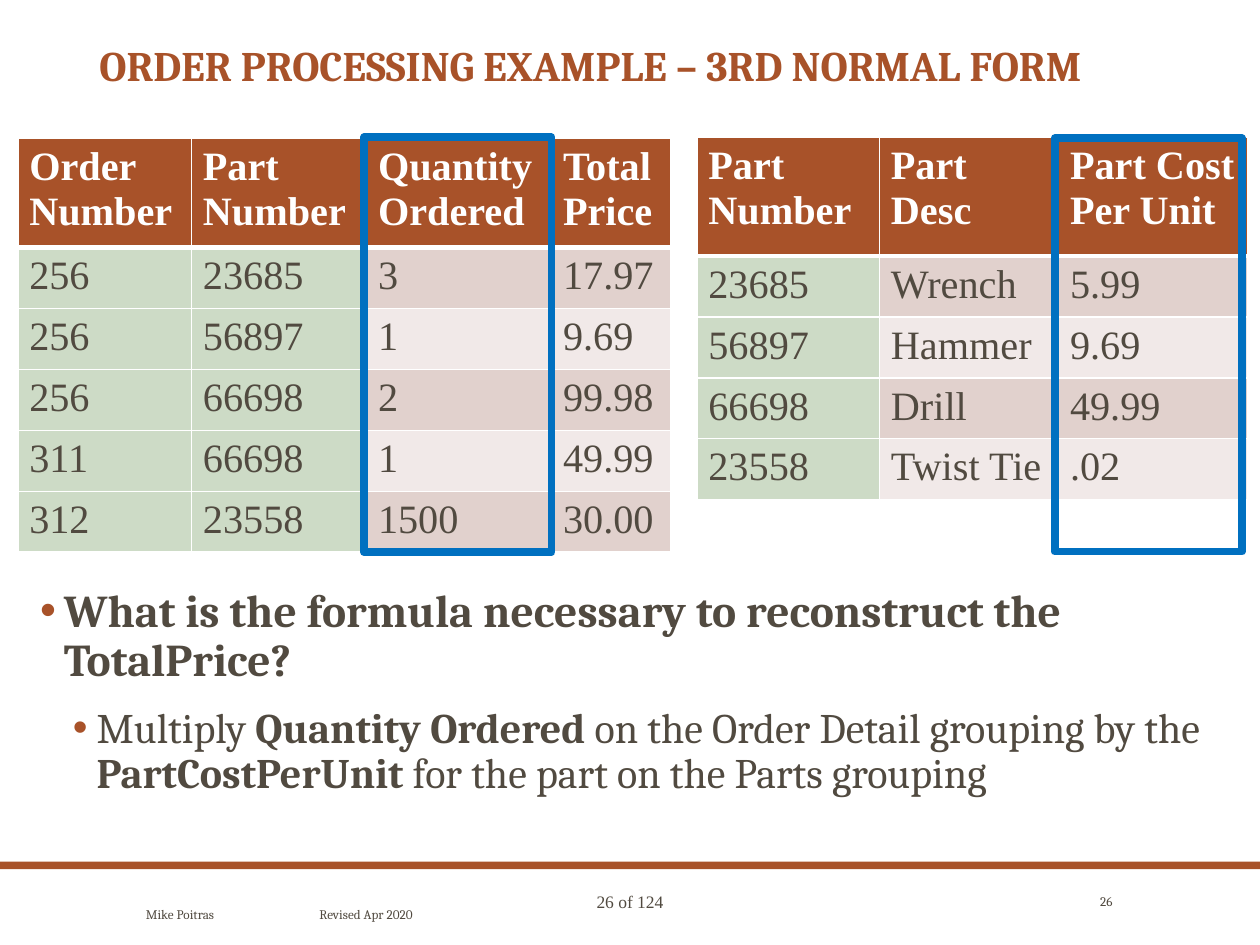
from pptx import Presentation
from pptx.dml.color import RGBColor
from pptx.enum.shapes import MSO_SHAPE
from pptx.enum.text import MSO_ANCHOR, MSO_AUTO_SIZE, PP_ALIGN
from pptx.oxml import parse_xml
from pptx.oxml.ns import nsdecls
from pptx.util import Cm, Pt

RUST = RGBColor(0xA8, 0x52, 0x29)
BROWN = RGBColor(0x51, 0x4A, 0x40)
WHITE = RGBColor(0xFF, 0xFF, 0xFF)
GREEN = RGBColor(0xCD, 0xDB, 0xC6)
DARK_PINK = RGBColor(0xE1, 0xD1, 0xCD)
LIGHT_PINK = RGBColor(0xF1, 0xE9, 0xE8)
BLUE = RGBColor(0x00, 0x70, 0xC0)
SERIF, TIMES = "Cambria", "Times New Roman"


def set_font(paragraph, name, size, color, bold=None):
    font = paragraph.font
    font.name, font.size, font.bold = name, Pt(size), bold
    font.color.rgb = color


def add_text_box(left, top, width, height, anchor=MSO_ANCHOR.TOP):
    text_frame = slide.shapes.add_textbox(Cm(left), Cm(top), Cm(width), Cm(height)).text_frame
    text_frame.word_wrap = True
    text_frame.vertical_anchor = anchor
    return text_frame


presentation = Presentation()
presentation.slide_width, presentation.slide_height = Cm(25.4), Cm(19.05)
slide = presentation.slides.add_slide(presentation.slide_layouts[5])

# Footer bar
bar = slide.shapes.add_shape(MSO_SHAPE.RECTANGLE, 0, Cm(17.37), Cm(25.4), Cm(0.15))
bar.shadow.inherit = False
bar.fill.solid()
bar.fill.fore_color.rgb = RUST
bar.line.fill.background()

# Title
title = slide.shapes.title
title.left, title.top, title.width, title.height = Cm(1.75), Cm(0.79), Cm(21.9), Cm(1.4)
title.text_frame.text = "ORDER PROCESSING EXAMPLE – 3RD NORMAL FORM"
title.text_frame.auto_size = MSO_AUTO_SIZE.NONE
title.text_frame.vertical_anchor = MSO_ANCHOR.TOP
paragraph = title.text_frame.paragraphs[0]
paragraph.alignment = PP_ALIGN.LEFT
paragraph.line_spacing = 0.9
set_font(paragraph, SERIF, 24, RUST, True)

# Question and answer: indent in cm, size, space after, (text, bold) runs
bullets = [
    (0.58, 26, 12, [("What is the formula necessary to reconstruct the TotalPrice?", True)]),
    (1.24, 24, 6, [("Multiply ", False), ("Quantity Ordered", True),
                   (" on the Order Detail grouping by the ", False),
                   ("PartCostPerUnit", True),
                   (" for the part on the Parts grouping", False)]),
]
body = add_text_box(0.46, 11.73, 24.48, 6.73)
for level, (indent, size, space_after, runs) in enumerate(bullets):
    paragraph = body.paragraphs[0] if level == 0 else body.add_paragraph()
    paragraph.level = level
    paragraph.line_spacing = 0.9
    paragraph.space_after = Pt(space_after)
    properties = paragraph._p.get_or_add_pPr()
    properties.set("marL", str(Cm(indent)))
    properties.set("indent", str(Cm(-0.48)))
    for xml in (f'<a:buClr {nsdecls("a")}><a:srgbClr val="{RUST}"/></a:buClr>',
                f'<a:buFont {nsdecls("a")} typeface="Arial"/>',
                f'<a:buChar {nsdecls("a")} char="•"/>'):
        properties.append(parse_xml(xml))
    set_font(paragraph, SERIF, size, BROWN)
    for text, bold in runs:
        run = paragraph.add_run()
        run.text = text
        run.font.bold = bold

# Tables: place, column widths, header height, number of key columns, rows
tables = [
    ((0.36, 2.79, 13.17, 8.33), [3.5, 3.53, 3.73, 2.41], 1.24, 2, [
        ["Order\nNumber", "Part Number", "Quantity Ordered", "Total Price"],
        ["256", "23685", "3", "17.97"],
        ["256", "56897", "1", "9.69"],
        ["256", "66698", "2", "99.98"],
        ["311", "66698", "1", "49.99"],
        ["312", "23558", "1500", "30.00"]]),
    ((14.05, 2.77, 11.1, 8.28), [3.68, 3.61, 3.81], 2.39, 1, [
        ["Part Number", "Part Desc", "Part Cost Per Unit"],
        ["23685", "Wrench", "5.99"],
        ["56897", "Hammer", "9.69"],
        ["66698", "Drill", "49.99"],
        ["23558", "Twist Tie", ".02"]]),
]
for place, widths, header_height, key_columns, rows in tables:
    frame = slide.shapes.add_table(len(rows), len(widths), *map(Cm, place))
    table = frame.table
    for column, width in zip(table.columns, widths):
        column.width = Cm(width)
    for r, values in enumerate(rows):
        table.rows[r].height = Cm(1.04 if r else header_height)
        for c, value in enumerate(values):
            cell = table.cell(r, c)
            cell.text = value
            cell.margin_left = cell.margin_right = Cm(0.23)
            for paragraph in cell.text_frame.paragraphs:
                set_font(paragraph, TIMES, 23, BROWN if r else WHITE, r == 0)
            if r == 0:
                color = RUST
            elif c < key_columns:
                color = GREEN
            else:
                color = DARK_PINK if r % 2 else LIGHT_PINK
            cell.fill.solid()
            cell.fill.fore_color.rgb = color
            # White borders, thick between header and body
            thick_side = {0: "B", 1: "T"}.get(r)
            for position, side in enumerate("LRTB"):
                width = Pt(3 if side == thick_side else 1)
                cell._tc.get_or_add_tcPr().insert(position, parse_xml(
                    f'<a:ln{side} {nsdecls("a")} w="{width}"><a:solidFill>'
                    f'<a:srgbClr val="{WHITE}"/></a:solidFill></a:ln{side}>'))
    frame.height = Cm(place[3])

# Frames around the two factors
for left, top, height in [(7.34, 2.77, 8.36), (21.26, 2.79, 8.33)]:
    highlight = slide.shapes.add_shape(
        MSO_SHAPE.RECTANGLE, Cm(left), Cm(top), Cm(3.78), Cm(height))
    highlight.shadow.inherit = False
    highlight.fill.background()
    highlight.line.color.rgb = BLUE
    highlight.line.width = Pt(4.5)

# Footer texts
paragraph = add_text_box(8.94, 17.83, 7.52, 0.69).paragraphs[0]
paragraph.text = "26 of 124"
paragraph.alignment = PP_ALIGN.CENTER
set_font(paragraph, TIMES, 10, BROWN)

paragraph = add_text_box(2.69, 17.83, 22.52, 1.22, MSO_ANCHOR.MIDDLE).paragraphs[0]
paragraph.text = "Mike Poitras\tRevised Apr 2020"
paragraph._p.get_or_add_pPr().append(parse_xml(
    f'<a:tabLst {nsdecls("a")}><a:tab pos="{Cm(3.5)}" algn="l"/></a:tabLst>'))
set_font(paragraph, SERIF, 7.5, BROWN)

paragraph = add_text_box(21.23, 17.83, 1.45, 0.66, MSO_ANCHOR.MIDDLE).paragraphs[0]
paragraph.text = "26"
paragraph.alignment = PP_ALIGN.RIGHT
set_font(paragraph, SERIF, 7.5, BROWN)

presentation.save("out.pptx")
